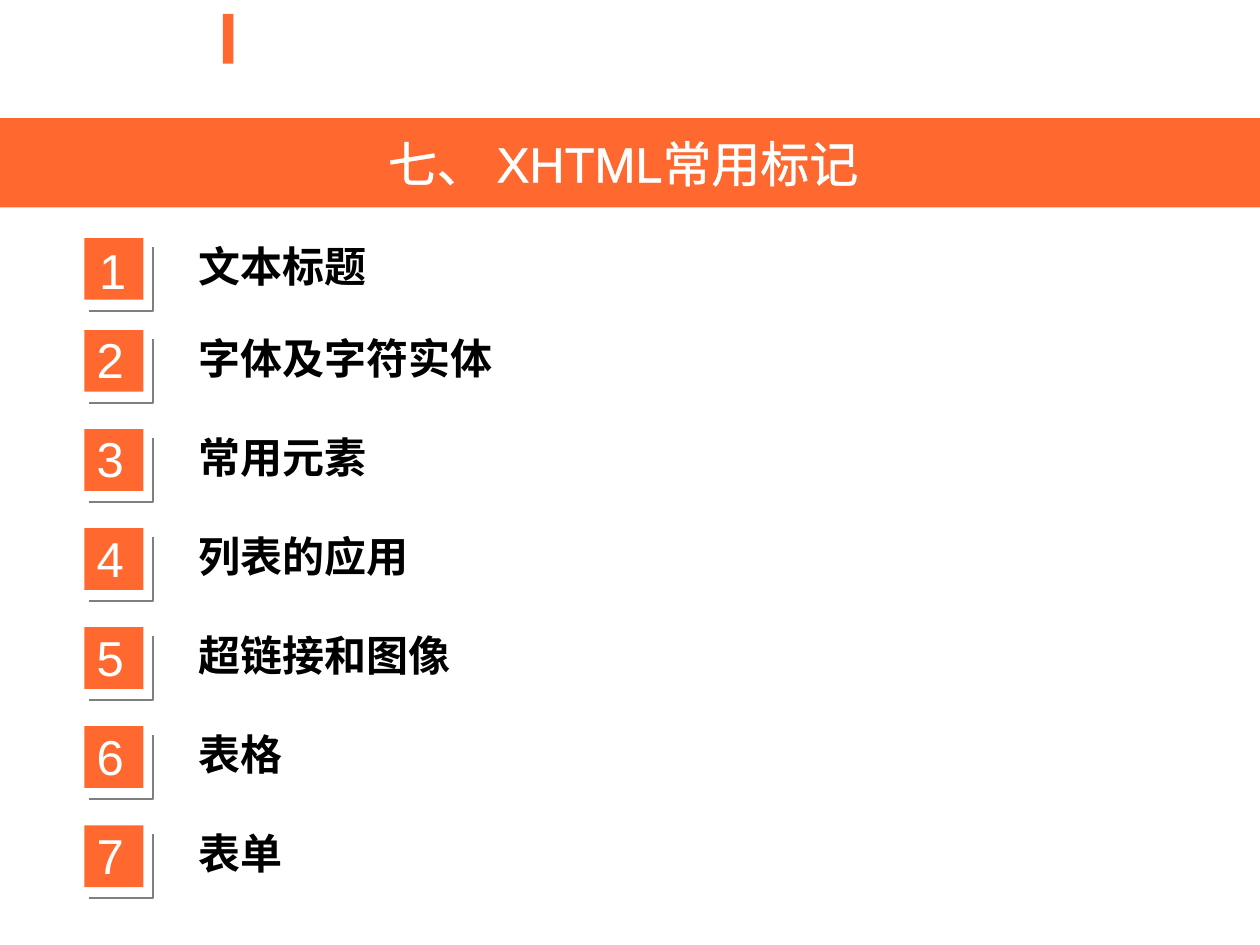
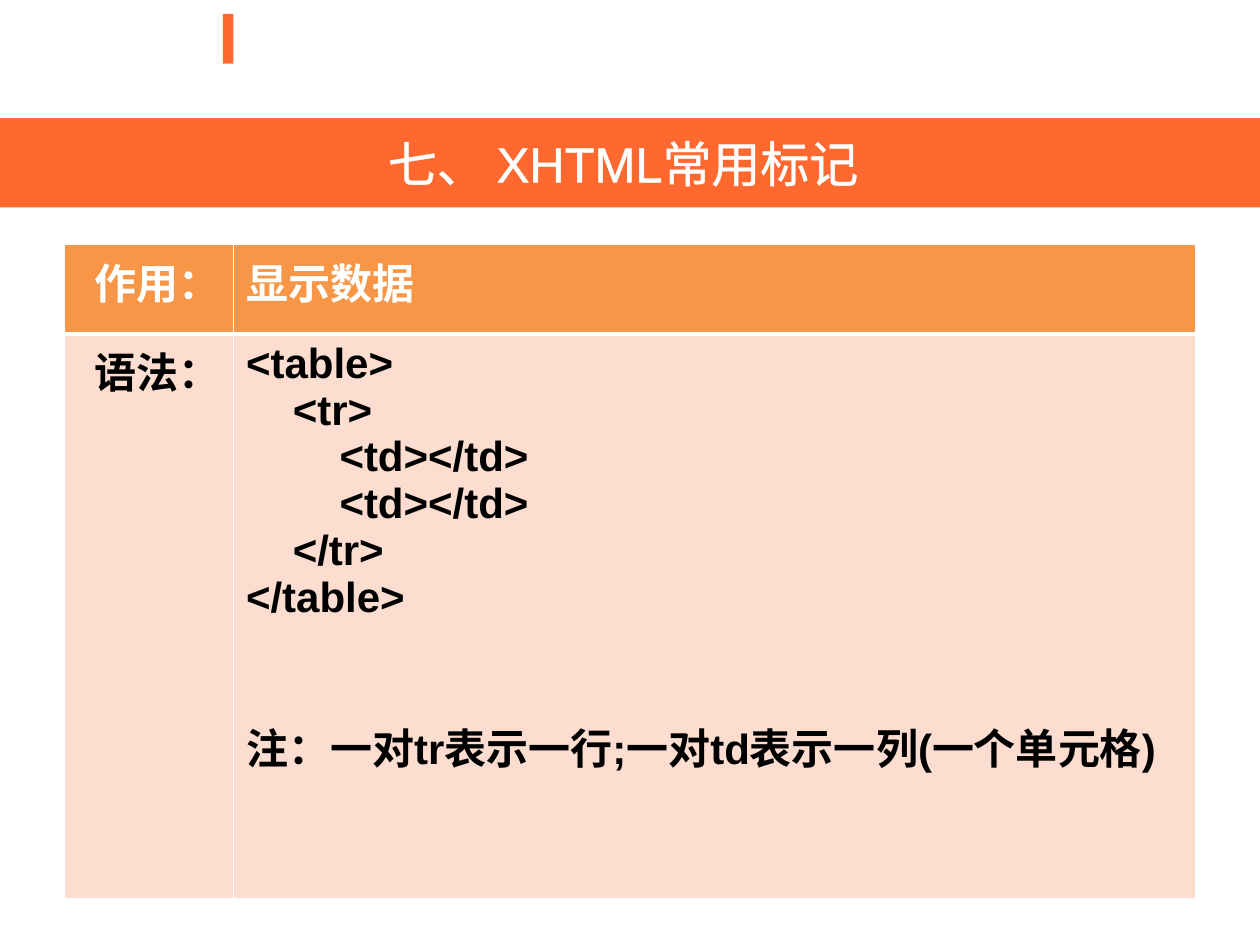
from lxml import etree
from pptx import Presentation
from pptx import util as u
from pptx.dml import color
from pptx.enum import shapes, text
from pptx.oxml import ns

Pt = u.Pt

TITLE = "七、 XHTML常用标记"
TOPICS = ["文本标题", "字体及字符实体", "常用元素", "列表的应用",
          "超链接和图像", "表格", "表单"]

# Each cell is a list of (indent level, space before, wording).
USAGE = [
    [[(0, 0, "作用：")], [(0, 0, "显示数据")]],
    [[(0, 0, "语法：")],
     [(0, 0, "<table>"),
      (1, 0, "<tr>"),
      (2, 0, "<td></td>"),
      (2, 0, "<td></td>"),
      (1, 0, "</tr>"),
      (0, 0, "</table>"),
      (0, 54, "注：一对tr表示一行;一对td表示一列(一个单元格)")]],
]


class Theme:
    brand, white, black = "FF682F", "FFFFFF", "000000"
    edge, head, body = "7F7F7F", "F79646", "FCDDCF"
    latin, asian = "Arial", "Noto Sans CJK SC"
    large = {"size": Pt(28), "bold": False}
    strong = {"size": Pt(24), "bold": True}


def apply(target, values):
    for name, value in values.items():
        setattr(target, name, value)


def paint(fill, tone):
    fill.solid()
    fill.fore_color.rgb = color.RGBColor.from_string(tone)


def line_xml(tag, tone, width):
    line = etree.Element(ns.qn(tag), w=str(Pt(width)))
    fill = etree.SubElement(line, ns.qn("a:solidFill"))
    etree.SubElement(fill, ns.qn("a:srgbClr"), val=tone)
    return line


def write(para, words, style, tone):
    run = para.add_run()
    run.text = words
    apply(run.font, {**style, "name": Theme.latin})
    paint(run.font.fill, tone)
    latin = run._r.get_or_add_rPr().find(ns.qn("a:latin"))
    latin.addnext(etree.Element(ns.qn("a:ea"), typeface=Theme.asian))
    return run


def block(slide, left, top, width, height):
    """Add a plain rectangle in the brand colour."""
    box = slide.shapes.add_shape(shapes.MSO_SHAPE.RECTANGLE,
                                 Pt(left), Pt(top), Pt(width), Pt(height))
    box.shadow.inherit = False
    paint(box.fill, Theme.brand)
    box.line.fill.background()
    return box


def label(slide, words, left, top, width, height, style, tone):
    frame = slide.shapes.add_textbox(Pt(left), Pt(top), Pt(width),
                                     Pt(height)).text_frame
    apply(frame, {"word_wrap": True,
                  "auto_size": text.MSO_AUTO_SIZE.SHAPE_TO_FIT_TEXT})
    write(frame.paragraphs[0], words, style, tone)


def corner(slide, left, top, side):
    """Draw the thin bottom and right edges behind a number."""
    right, base = Pt(left + side), Pt(top + side)
    path = slide.shapes.build_freeform(Pt(left), base)
    path.add_line_segments([(right, base), (right, Pt(top))], close=False)
    edge = path.convert_to_shape()
    edge.shadow.inherit = False
    edge.fill.background()
    paint(edge.line.fill, Theme.edge)
    edge.line.width = Pt(1)


def add_page(deck):
    slide = deck.slides.add_slide(deck.slide_layouts[6])
    block(slide, 127.4, 8, 6, 28.4)
    frame = block(slide, 0, 67.5, 720, 51).text_frame
    apply(frame, {"vertical_anchor": text.MSO_ANCHOR.MIDDLE,
                  "margin_right": Pt(15)})
    para = frame.paragraphs[0]
    para.alignment = text.PP_ALIGN.CENTER
    run = write(para, TITLE, Theme.large, Theme.white)
    run._r.get_or_add_rPr().insert(0, line_xml("a:ln", Theme.white, 1.45))
    return slide


def add_topics(slide):
    first, second, pitch = 136, 188.6, 56.6
    for index, topic in enumerate(TOPICS):
        top = second + (index - 1) * pitch if index else first
        nudge = 0 if index else 1.4
        block(slide, 48.2, top, 33.8, 35.3)
        label(slide, str(index + 1), 48.2 + nudge, top - 3.6 + nudge,
              28, 41, Theme.large, Theme.white)
        corner(slide, 51, top + 5.2, 36.5)
        label(slide, topic, 106.6, top - 2.2, 540, 36,
              Theme.strong, Theme.black)


def add_usage(slide):
    widths, heights, indent = (96.5, 550), (51, 323), 26.7
    table = slide.shapes.add_table(
        len(heights), len(widths), Pt(36.9), Pt(139.8),
        Pt(sum(widths)), Pt(sum(heights))).table
    apply(table, {"first_row": False, "horz_banding": False})
    for col, width in zip(table.columns, widths):
        col.width = Pt(width)
    looks = [(Theme.head, Theme.white, {"T": 1, "B": 3}),
             (Theme.body, Theme.black, {"T": 3, "B": 1})]
    for row, height, cells, (back, ink, rules) in zip(
            table.rows, heights, USAGE, looks):
        row.height = Pt(height)
        for index, (cell, lines) in enumerate(zip(row.cells, cells)):
            paint(cell.fill, back)
            props = cell._tc.get_or_add_tcPr()
            sides = {"L": 1, "R": 1, **rules}
            for place, (side, width) in enumerate(sides.items()):
                props.insert(place, line_xml("a:ln" + side,
                                             Theme.white, width))
            frame = cell.text_frame
            for number, (level, gap, words) in enumerate(lines):
                para = frame.add_paragraph() if number else frame.paragraphs[0]
                apply(para, {"space_before": Pt(gap),
                             "alignment": text.PP_ALIGN.LEFT if index
                             else text.PP_ALIGN.RIGHT})
                para._p.get_or_add_pPr().set("marL", str(Pt(level * indent)))
                write(para, words, Theme.strong, ink)


def main():
    deck = Presentation()
    apply(deck, {"slide_width": Pt(720), "slide_height": Pt(540)})
    for fill_page in (add_topics, add_usage):
        fill_page(add_page(deck))
    deck.save("out.pptx")


if __name__ == "__main__":
    main()
